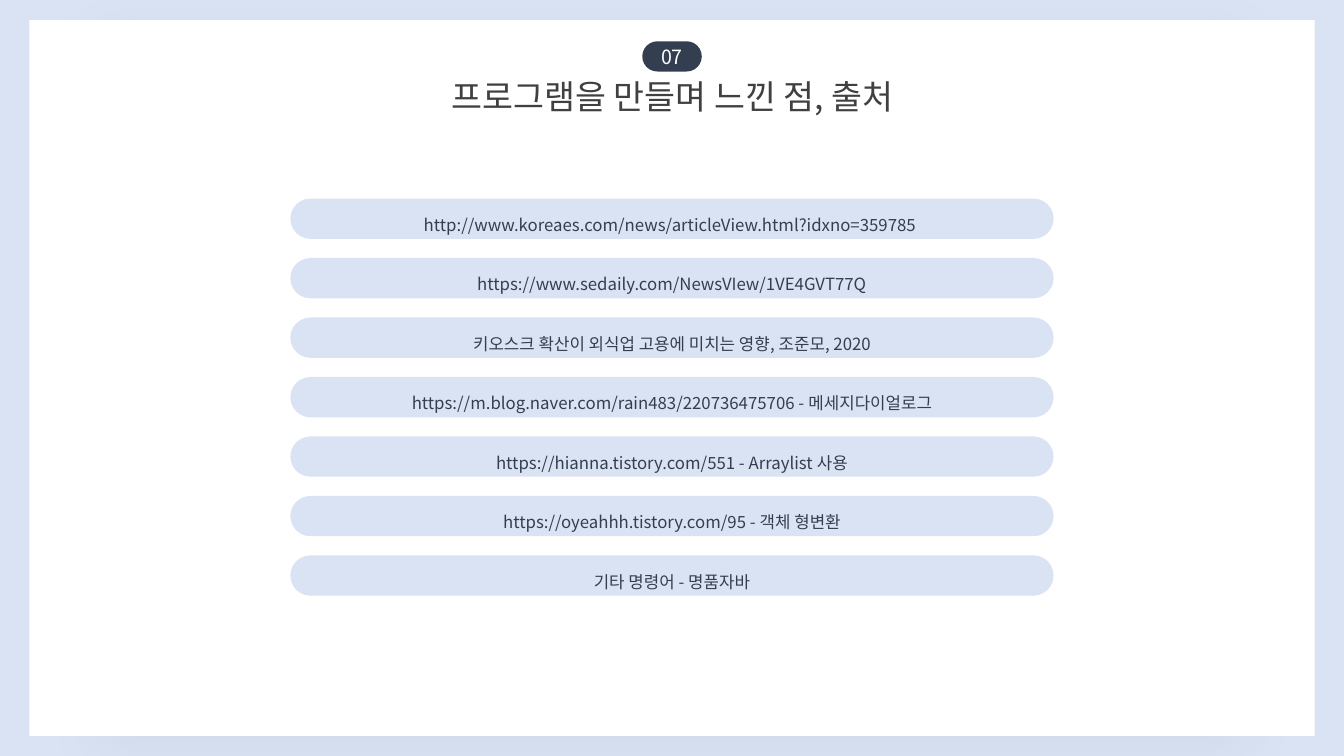
from lxml import etree
from pptx import Presentation, util as u
from pptx.dml import color
from pptx.enum import shapes, text
from pptx.oxml import ns

FONT = "Noto Sans CJK KR"
PALE, NAVY, WHITE, GREY = "DAE3F3", "333F50", "FFFFFF", "404040"
SOURCES = [
    "http://www.koreaes.com/news/articleView.html?idxno=359785 ",
    "https://www.sedaily.com/NewsVIew/1VE4GVT77Q",
    "키오스크 확산이 외식업 고용에 미치는 영향, 조준모, 2020",
    "https://m.blog.naver.com/rain483/220736475706 - 메세지다이얼로그",
    "https://hianna.tistory.com/551 - Arraylist 사용",
    "https://oyeahhh.tistory.com/95 - 객체 형변환",
    "기타 명령어 - 명품자바",
]


def rgb(value):
    return color.RGBColor.from_string(value)


class Deck:
    def __init__(self, prs):
        self.s = prs.slides.add_slide(prs.slide_layouts[5])
        fill = self.s.background.fill
        fill.solid()
        fill.fore_color.rgb = rgb(PALE)

    def shape(self, kind, box, fill, parent=None):
        parent = parent or self.s.shapes
        sp = parent.add_shape(kind, *map(u.Inches, box))
        sp.shadow.inherit = False
        sp.fill.solid()
        sp.fill.fore_color.rgb = rgb(fill)
        sp.line.fill.background()
        return sp

    def label(self, sp, words, size, ink, anchor, spacing=None):
        tf = sp.text_frame
        tf.word_wrap = True
        tf.vertical_anchor = anchor
        p = tf.paragraphs[0]
        p.alignment = text.PP_ALIGN.CENTER
        p.line_spacing = spacing
        r = p.add_run()
        r.text = words
        r.font.size = u.Pt(size)
        r.font.color.rgb = rgb(ink)
        r.font.name = FONT
        ea = etree.SubElement(r._r.get_or_add_rPr(), ns.qn("a:ea"))
        ea.set("typeface", FONT)

    def panel(self, box):
        sp = self.shape(shapes.MSO_SHAPE.RECTANGLE, box, WHITE)
        effects = sp.element.spPr.find(ns.qn("a:effectLst"))
        shadow = etree.SubElement(
            effects, ns.qn("a:outerShdw"), blurRad=str(u.Pt(40)),
            dist=str(u.Pt(10)), dir="5400000", sx="90000", algn="b", rotWithShape="0")
        tone = etree.SubElement(shadow, ns.qn("a:srgbClr"), val="000000")
        etree.SubElement(tone, ns.qn("a:alpha"), val="4000")

    def pill(self, box, fill, words, size, ink, spacing=None, parent=None):
        sp = self.shape(shapes.MSO_SHAPE.ROUNDED_RECTANGLE, box, fill, parent)
        sp.adjustments[0] = 0.5
        self.label(sp, words, size, ink, text.MSO_ANCHOR.MIDDLE, spacing)

    def title(self, box, words):
        sp = self.s.shapes.title
        sp.left, sp.top, sp.width, sp.height = map(u.Inches, box)
        self.label(sp, words, 24, GREY, text.MSO_ANCHOR.TOP)
        sp.text_frame.auto_size = text.MSO_AUTO_SIZE.SHAPE_TO_FIT_TEXT
        sp.element.getparent().append(sp.element)

    def source_list(self, left, top, width, height, pitch):
        group = self.s.shapes.add_group_shape()
        for i, source in enumerate(SOURCES):
            box = left, top + i * pitch, width, height
            self.pill(box, PALE, source, 12, NAVY, 1.6, group.shapes)


def main():
    prs = Presentation()
    prs.slide_width, prs.slide_height = u.Inches(13.33), u.Inches(7.5)
    deck = Deck(prs)
    deck.panel((0.29, 0.2, 12.75, 7.1))
    deck.pill((6.37, 0.41, 0.59, 0.3), NAVY, "07", 14, WHITE)
    deck.title((4.14, 0.7, 5.06, 0.5), "프로그램을 만들며 느낀 점, 출처")
    deck.source_list(2.88, 1.97, 7.57, 0.4, 0.59)
    prs.save("out.pptx")


if __name__ == "__main__":
    main()
